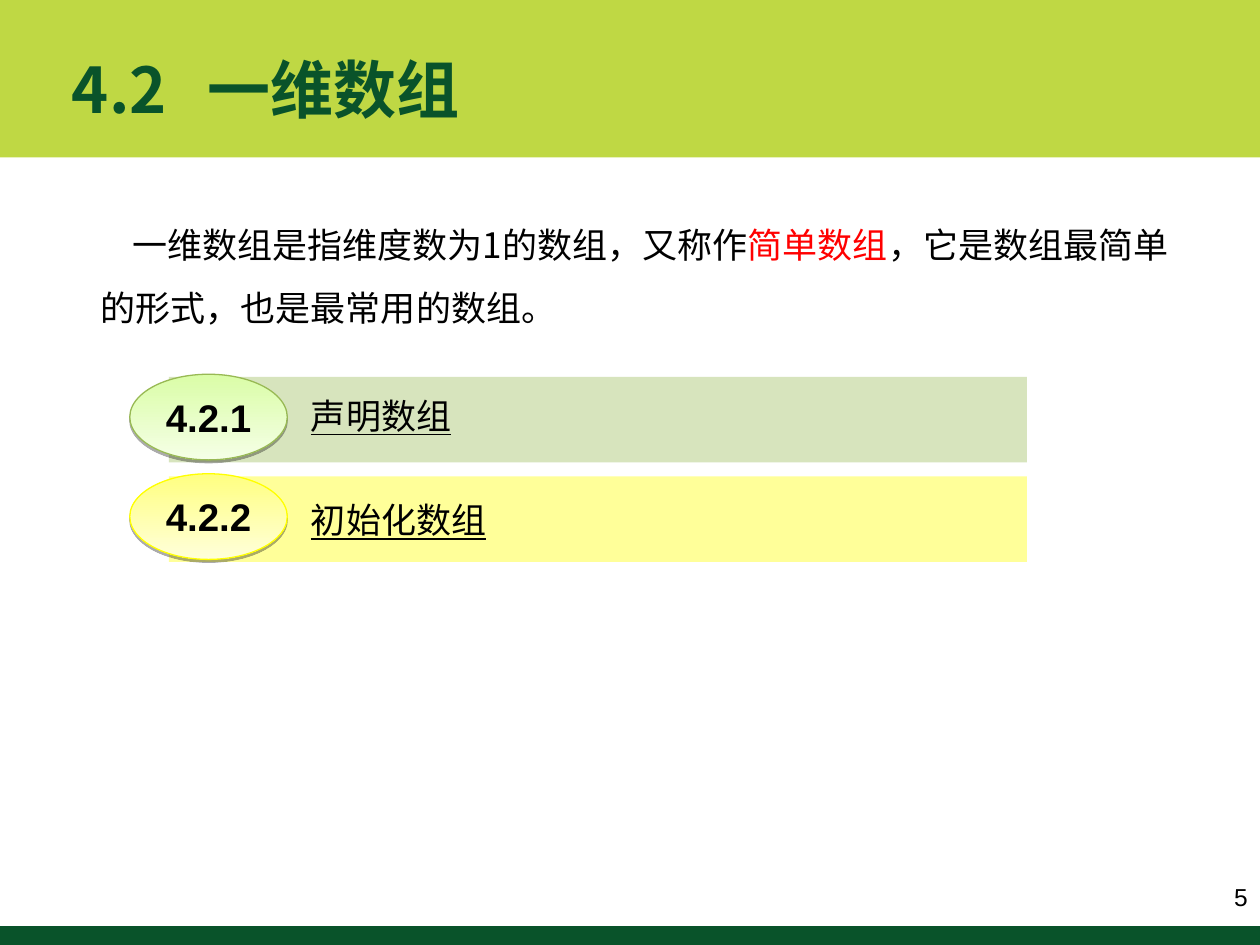
"""Builds the section slide on one-dimensional arrays."""
import pptx
import pptx.util
import pptx.dml.color
import pptx.enum.shapes
import pptx.enum.text
import pptx.oxml
import pptx.oxml.ns

W, H = 10, 7.5
CJK, LATIN = "Noto Sans CJK SC", "Arial"
GREEN, LIME, BLACK, RED = "09532A", "BFD844", "000000", "FF0000"
ALIGN = pptx.enum.text.PP_ALIGN
ANCHOR = pptx.enum.text.MSO_ANCHOR
SHAPE = pptx.enum.shapes.MSO_SHAPE

TITLE = "4.2\t一维数组"
INTRO = [
    ("一维数组是指维度数为1的数组，又称作", BLACK),
    ("简单数组", RED),
    ("，它是数组最简单的形式，也是最常用的数组。", BLACK),
]
SECTIONS = [
    {"number": "4.2.1", "name": "声明数组", "bar": "D7E4BD",
     "stops": ("DAFDA7", "F5FFE6"), "line": "98B954", "drop": 0.11},
    {"number": "4.2.2", "name": "初始化数组", "bar": "FFFF99",
     "stops": ("FFFF80", "FFFFDA"), "line": "FFFF00", "drop": 0.15},
]
PAGE = "5"
TOP, PITCH, ROW_H = 2.97, 0.79, 0.68
NS = pptx.oxml.ns.nsdecls("a")
TABS = f'<a:tabLst {NS}><a:tab pos="{int(1.08 * 914400)}" algn="l"/></a:tabLst>'
SHADOW = (f'<a:effectLst {NS}><a:outerShdw dist="20000" dir="5400000" rotWithShape="0">'
          '<a:srgbClr val="000000"><a:alpha val="33000"/></a:srgbClr>'
          '</a:outerShdw></a:effectLst>')


def rgb(value):
    """Turns a hex string into a colour."""
    return pptx.dml.color.RGBColor.from_string(value)


def box(*lengths):
    """Converts lengths in inches."""
    return [pptx.util.Inches(v) for v in lengths]


def write(s, runs, size, font=CJK, anchor=ANCHOR.TOP, align=ALIGN.LEFT, **formats):
    """Fills a shape with one paragraph of coloured runs."""
    tf = s.text_frame
    tf.word_wrap, tf.vertical_anchor = True, anchor
    p = tf.paragraphs[0]
    p.alignment = align
    for text, color in runs:
        r = p.add_run()
        r.text = text
        for key, value in {"size": pptx.util.Pt(size), "name": font, **formats}.items():
            setattr(r.font, key, value)
        r.font.color.rgb = rgb(color)
        r.font._element.get_or_add_latin().addnext(
            pptx.oxml.parse_xml(f'<a:ea {NS} typeface="{font}"/>'))
    return p


def add_text(shapes, at, runs, size, **formats):
    """Adds a text box and returns its paragraph."""
    return write(shapes.add_textbox(*box(*at)), runs, size, **formats)


def add_bar(shapes, at, color):
    """Adds a plain filled rectangle."""
    s = shapes.add_shape(SHAPE.RECTANGLE, *box(*at))
    s.shadow.inherit = False
    s.fill.solid()
    s.fill.fore_color.rgb = rgb(color)
    s.line.fill.background()


def add_section(shapes, top, section):
    """Adds a numbered badge on a bar with its name."""
    group = shapes.add_group_shape().shapes
    add_bar(group, (1.34, top + 0.02, 6.81, ROW_H), section["bar"])
    s = group.add_shape(SHAPE.OVAL, *box(1.03, top, 1.25, ROW_H))
    s.fill.gradient()
    s.fill.gradient_angle = 270
    for stop, color, position in zip(s.fill.gradient_stops, section["stops"], (0, 1)):
        stop.color.rgb, stop.position = rgb(color), position
    s.line.color.rgb, s.line.width = rgb(section["line"]), pptx.util.Pt(0.75)
    s._element.spPr.append(pptx.oxml.parse_xml(SHADOW))
    write(s, [(section["number"], BLACK)], 22, LATIN, ANCHOR.MIDDLE, ALIGN.CENTER, bold=True)
    add_text(shapes, (2.37, top + section["drop"], 3.44, 0.44),
             [(section["name"], BLACK)], 20, underline=True)


def main():
    """Builds and saves the slide."""
    prs = pptx.Presentation()
    prs.slide_width, prs.slide_height = box(W, H)
    slide = prs.slides.add_slide(prs.slide_layouts[5])
    shapes = slide.shapes
    add_bar(shapes, (0, 0, W, H / 6), LIME)
    add_bar(shapes, (0, H * 0.98, W, H * 0.02), GREEN)

    title = shapes.title
    shapes._spTree.append(title._element)
    title.left, title.top, title.width, title.height = box(0.47, 0.23, 6.8, 0.95)
    p = write(title, [(TITLE, GREEN)], 36, anchor=ANCHOR.MIDDLE, bold=True)
    p._p.get_or_add_pPr().append(pptx.oxml.parse_xml(TABS))

    for row, section in enumerate(SECTIONS):
        add_section(shapes, TOP + row * PITCH, section)
    p = add_text(shapes, (0.7, 1.56, 8.83, 1.1), INTRO, 20)
    p.line_spacing = 1.5
    p._p.get_or_add_pPr().set("indent", str(pptx.util.Inches(0.25)))
    add_text(shapes, (9.22, 6.88, 0.78, 0.47), [(PAGE, BLACK)], 14,
             font=LATIN, anchor=ANCHOR.MIDDLE, align=ALIGN.RIGHT)
    prs.save("out.pptx")


if __name__ == "__main__":
    main()
